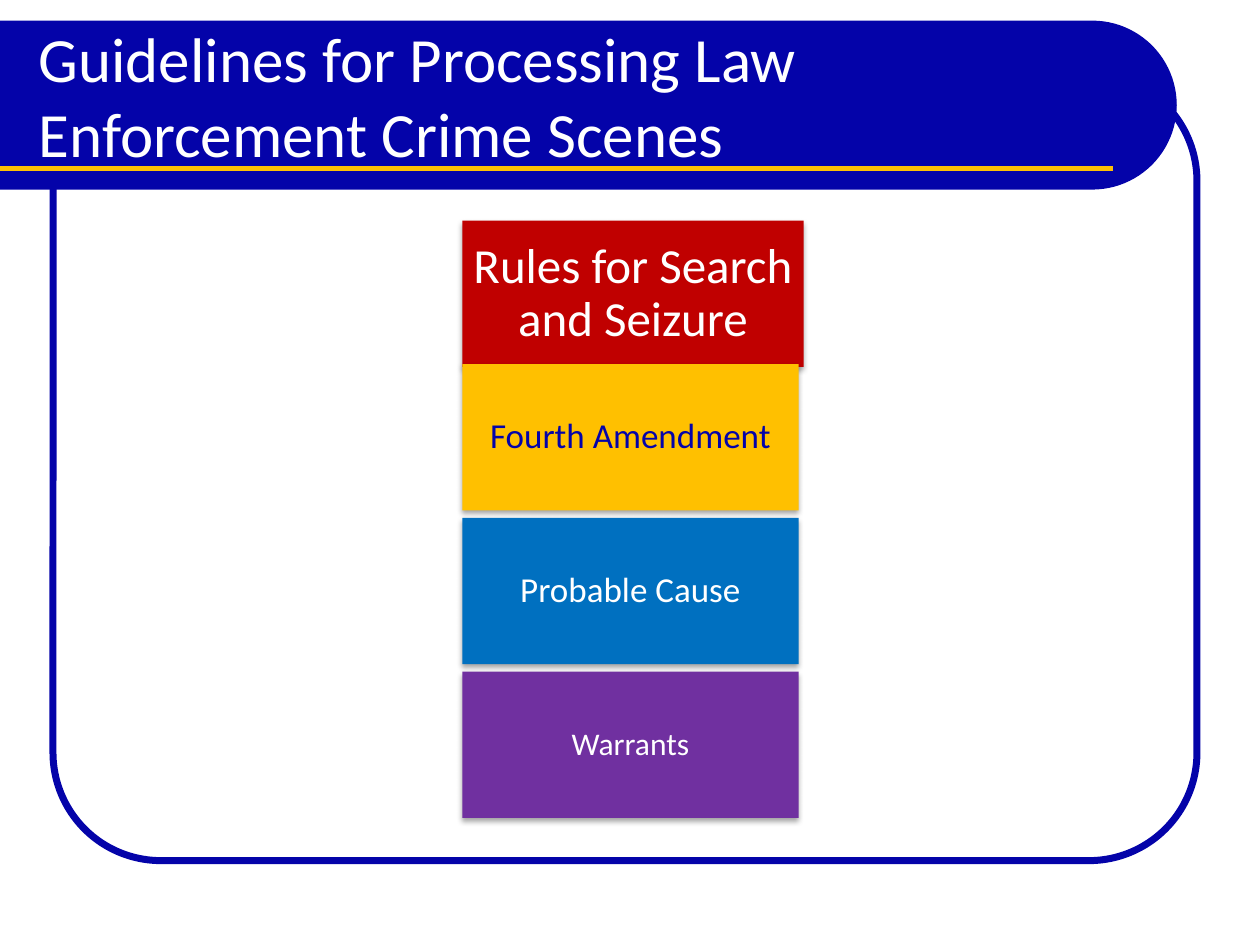
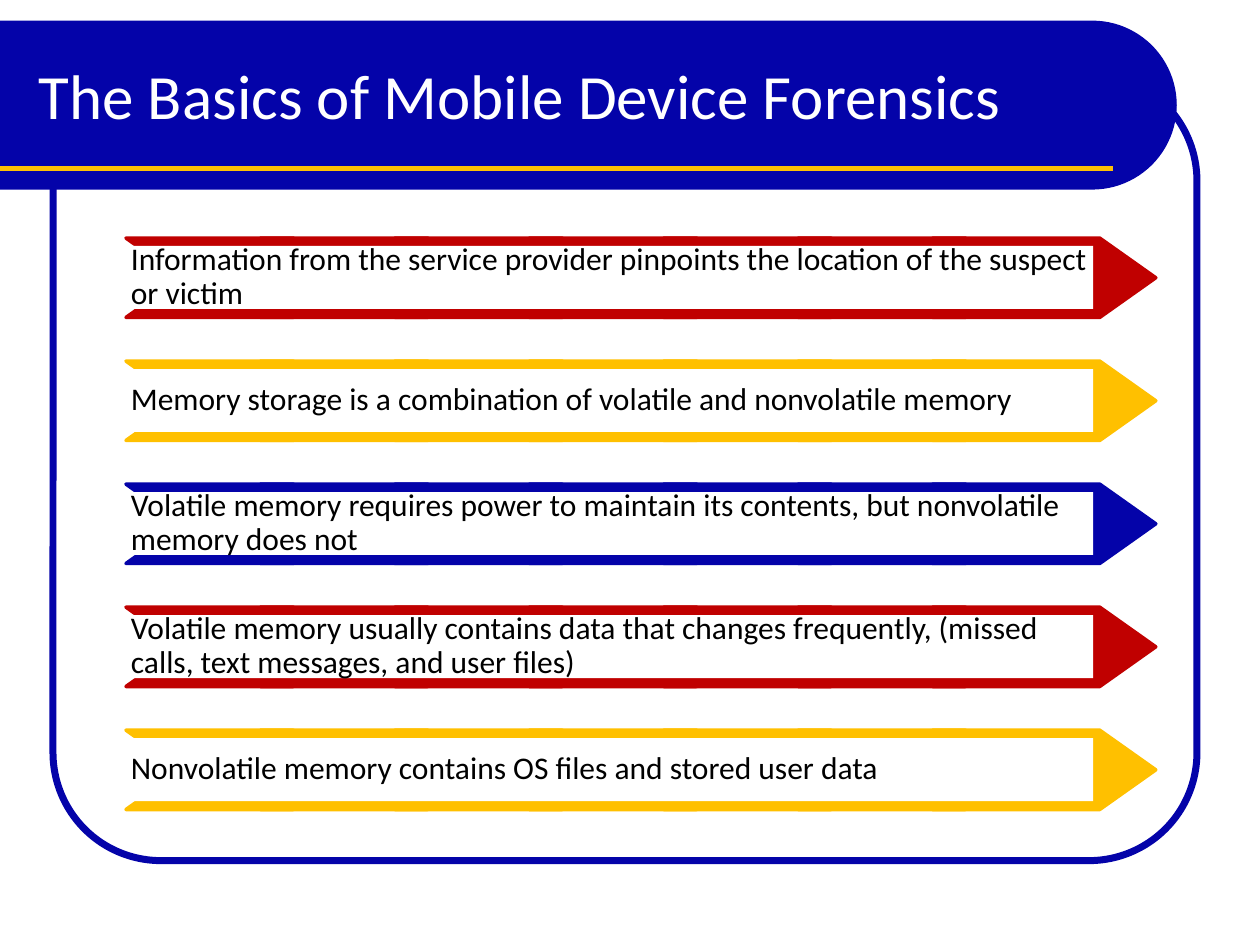
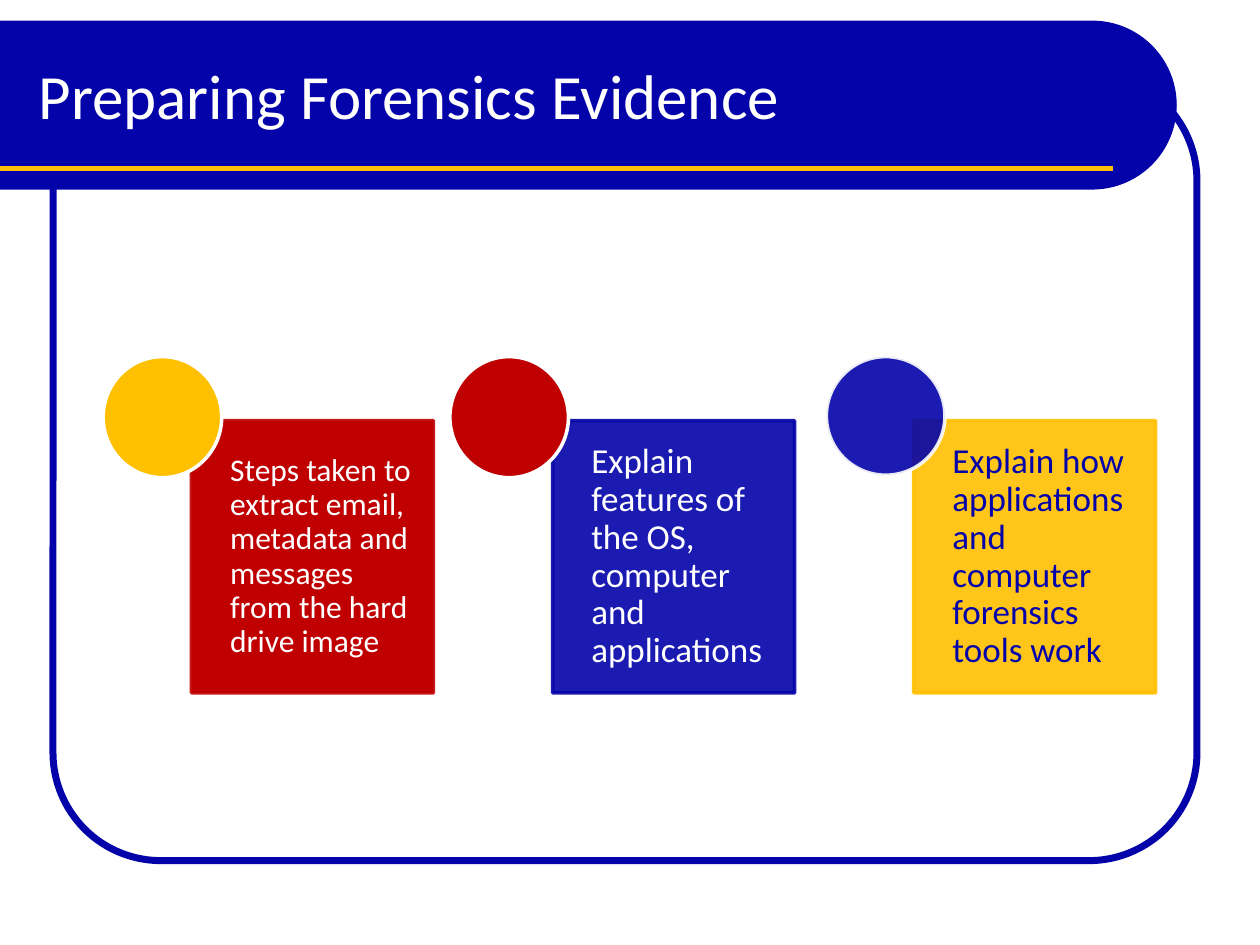
import math

from lxml import etree
from pptx import Presentation
from pptx.dml.color import RGBColor
from pptx.enum.shapes import MSO_CONNECTOR, MSO_SHAPE
from pptx.enum.text import MSO_ANCHOR, MSO_AUTO_SIZE, PP_ALIGN
from pptx.oxml.ns import qn
from pptx.util import Cm, Pt

RECT = MSO_SHAPE.RECTANGLE
ROUNDED = MSO_SHAPE.ROUNDED_RECTANGLE
CHEVRON = MSO_SHAPE.CHEVRON
OVAL = MSO_SHAPE.OVAL
STRAIGHT = MSO_CONNECTOR.STRAIGHT
MIDDLE = MSO_ANCHOR.MIDDLE
NO_AUTOFIT = MSO_AUTO_SIZE.NONE
LEFT, CENTER = PP_ALIGN.LEFT, PP_ALIGN.CENTER

FONT = "Calibri"
TITLE_ONLY = 5
COLORS = {
    "navy": "0403A9",
    "rule": "FDC005",
    "red": "C00000",
    "gold": "FFC000",
    "blue": "0070C0",
    "purple": "7030A0",
    "white": "FFFFFF",
    "black": "000000",
}

RULES = [
    ("Fourth Amendment", "gold", "navy", 20, 0.15),
    ("Probable Cause", "blue", "white", 20, 0.15),
    ("Warrants", "purple", "white", 18, 0.13),
]
BASICS = [
    ("Information from the service provider pinpoints the location of the suspect or victim", "red"),
    ("Memory storage is a combination of volatile and nonvolatile memory", "gold"),
    ("Volatile memory requires power to maintain its contents, but nonvolatile memory does not", "navy"),
    ("Volatile memory usually contains data that changes frequently, "
     "(missed calls, text messages, and user files)", "red"),
    ("Nonvolatile memory contains OS files and stored user data", "gold"),
]
BOTH, LINE_ONLY = ("a:solidFill", "a:ln"), ("a:ln",)
# text, card colour, text colour, size, margin, faded parts, dot left, dot height, dot colour, dot faded parts
EVIDENCE = [
    ("Steps taken to extract email, metadata and messages from the hard drive image",
     "red", "white", 18, 0.36, LINE_ONLY, 2.08, 2.44, "gold", ()),
    ("Explain features of the OS, computer and applications",
     "navy", "white", 20, 0.41, BOTH, 9.07, 2.44, "red", ()),
    ("Explain how applications and computer forensics tools work",
     "gold", "navy", 20, 0.41, BOTH, 16.66, 2.39, "navy", BOTH),
]


def rgb(name):
    return RGBColor.from_string(COLORS[name])


def set_all(target, values):
    for attribute, value in values.items():
        setattr(target, attribute, value)


def paint(shape, fill=None, line=None, weight=2):
    """Set fill and outline, where None means none, and drop the theme shadow."""
    if fill:
        shape.fill.solid()
        shape.fill.fore_color.rgb = rgb(fill)
    else:
        shape.fill.background()
    if line:
        shape.line.color.rgb = rgb(line)
        shape.line.width = Pt(weight)
    else:
        shape.line.fill.background()
    shape.shadow.inherit = False


def add_block(slide, kind, left, top, width, height, **look):
    block = slide.shapes.add_shape(kind, Cm(left), Cm(top), Cm(width), Cm(height))
    paint(block, **look)
    return block


def write(shape, text, size, color, align=LEFT, margins=(0.1,) * 4, spacing=0.9):
    """Fill in one paragraph; margins run left, top, right, bottom in cm."""
    frame = shape.text_frame
    frame.text = text
    sides = ("margin_left", "margin_top", "margin_right", "margin_bottom")
    set_all(frame, {"word_wrap": True, "auto_size": NO_AUTOFIT, "vertical_anchor": MIDDLE,
                    **dict(zip(sides, map(Cm, margins)))})
    paragraph = frame.paragraphs[0]
    set_all(paragraph, {"alignment": align, "line_spacing": spacing})
    font = paragraph.runs[0].font
    set_all(font, {"name": FONT, "size": Pt(size), "bold": False})
    font.color.rgb = rgb(color)


def fade(shape, parts):
    """Make the given parts of the shape 90 % opaque."""
    for part in parts:
        for color in shape.element.spPr.find(qn(part)).iter(qn("a:srgbClr")):
            etree.SubElement(color, qn("a:alpha"), val="90000")


def cast_shadow(shape):
    effects = shape.element.spPr.find(qn("a:effectLst"))
    shadow = etree.SubElement(effects, qn("a:outerShdw"), blurRad=str(Pt(3.1)),
                              dist=str(Pt(1.8)), dir="5400000", rotWithShape="0")
    color = etree.SubElement(shadow, qn("a:srgbClr"), val=COLORS["black"])
    etree.SubElement(color, qn("a:alpha"), val="35000")


def add_band(slide):
    """Draw the title band, which ends in a half circle on the right."""
    top, radius, center = 0.43, 1.69, 22.02
    steps = 48
    angles = [math.pi * (step / steps - 0.5) for step in range(steps + 1)]
    arc = [(Cm(center + radius * math.cos(a)), Cm(top + radius + radius * math.sin(a)))
           for a in angles]
    builder = slide.shapes.build_freeform(0, Cm(top))
    builder.add_line_segments(arc + [(0, Cm(top + 2 * radius))], close=True)
    band = builder.convert_to_shape()
    paint(band, fill="navy", line="navy", weight=0.75)
    return band


def add_rule(slide):
    rule = slide.shapes.add_connector(STRAIGHT, 0, Cm(3.39), Cm(22.43), Cm(3.39))
    rule.line.color.rgb = rgb("rule")
    rule.line.width = Pt(3)
    etree.SubElement(rule.element.spPr, qn("a:effectLst"))
    return rule


def move_frame_to_layout(slide):
    """Draw the shared frame, band and rule, and hand them to the slide's layout."""
    frame = add_block(slide, ROUNDED, 1.07, 1.47, 23.06, 15.88, line="navy", weight=4)
    frame.adjustments[0] = 0.137
    for part in (frame, add_band(slide), add_rule(slide)):
        slide.slide_layout.shapes.element.append(part.element)


def add_titled_slide(deck, text):
    slide = deck.slides.add_slide(deck.slide_layouts[TITLE_ONLY])
    title = slide.shapes.title
    set_all(title, {"left": Cm(0.53), "top": Cm(0.64), "width": Cm(22.28), "height": Cm(2.54)})
    write(title, text, 36, "white", margins=(0.25, 0.13, 0.25, 0.13), spacing=1.0)
    return slide


def add_rule_box(slide, top, width, text, fill, color, size, margin):
    box = add_block(slide, RECT, 9.32, top, width, 2.95, fill=fill)
    cast_shadow(box)
    write(box, text, size, color, CENTER, (margin,) * 4)


def add_chevron_row(slide, top, text, color):
    left = 2.54
    for index in range(7):
        chevron = add_block(slide, CHEVRON, left + 2.71 * index, top, 4.5, 1.6,
                            fill=color, line=color)
        chevron.adjustments[0] = 0.706
    strip = add_block(slide, RECT, left, top + 0.16, 19.5, 1.27, fill="white")
    write(strip, text, 18, "black")


def add_evidence_card(slide, left, text, fill, color, size, margin, faded,
                      dot_left, dot_height, dot_color, dot_faded):
    card = add_block(slide, RECT, left, 8.48, 4.88, 5.49, fill=fill, line=fill)
    fade(card, faded)
    write(card, text, size, color, margins=(0.78, margin, margin, margin))
    dot = add_block(slide, OVAL, dot_left, 7.19, 2.39, dot_height, fill=dot_color, line="white")
    fade(dot, dot_faded)


def main():
    deck = Presentation()
    set_all(deck, {"slide_width": Cm(25.4), "slide_height": Cm(19.05)})

    search = add_titled_slide(deck, "Guidelines for Processing Law Enforcement Crime Scenes")
    move_frame_to_layout(search)
    add_rule_box(search, 4.45, 6.88, "Rules for Search and Seizure", "red", "white", 28, 0.2)
    for index, rule in enumerate(RULES):
        add_rule_box(search, 7.34 + 3.1 * index, 6.78, *rule)

    mobile = add_titled_slide(deck, "The Basics of Mobile Device Forensics")
    for index, basic in enumerate(BASICS):
        add_chevron_row(mobile, 4.8 + 2.48 * index, *basic)

    evidence = add_titled_slide(deck, "Preparing Forensics Evidence")
    for index, card in enumerate(EVIDENCE):
        add_evidence_card(evidence, 3.86 + 7.28 * index, *card)

    deck.save("out.pptx")


if __name__ == "__main__":
    main()
